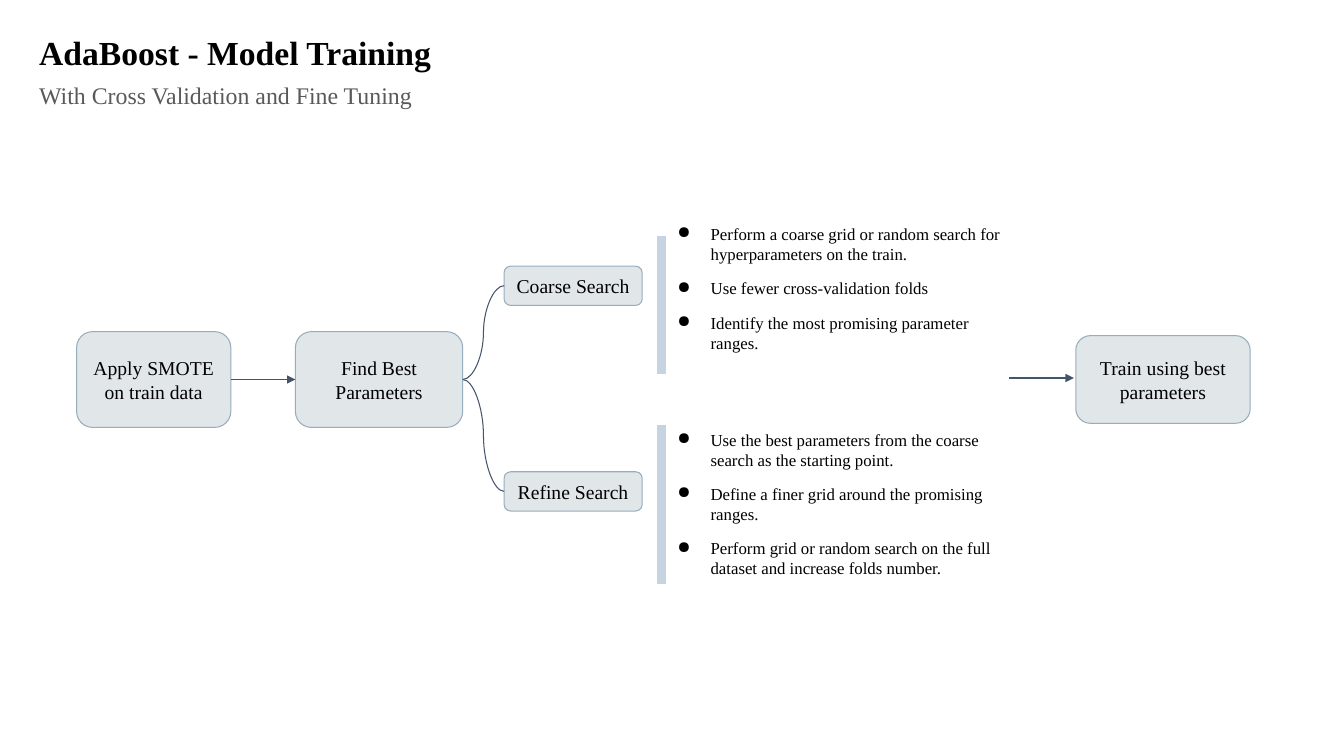
from lxml import etree
from pptx import Presentation
from pptx.dml.color import RGBColor
from pptx.enum.shapes import MSO_CONNECTOR, MSO_SHAPE
from pptx.enum.text import MSO_ANCHOR, PP_ALIGN
from pptx.oxml.ns import qn
from pptx.util import Inches, Pt

STRAIGHT, CURVE = MSO_CONNECTOR.STRAIGHT, MSO_CONNECTOR.CURVE
ROUNDED = MSO_SHAPE.ROUNDED_RECTANGLE
TOP, MIDDLE = MSO_ANCHOR.TOP, MSO_ANCHOR.MIDDLE
LEFT, CENTER = PP_ALIGN.LEFT, PP_ALIGN.CENTER

# Content: boxes are left, top, width, height in inches
HEADINGS = [
    ("AdaBoost - Model Training", (0.29, 0.27, 9.78, 0.5), "title", "ink", True),
    ("With Cross Validation and Fine Tuning", (0.29, 0.75, 13.01, 0.39), "subtitle", "muted", False),
]
STEPS = {
    "smote": ("Apply SMOTE on train data", (0.76, 3.29, 1.53, 0.95)),
    "find": ("Find Best Parameters", (2.93, 3.29, 1.66, 0.95)),
    "train": ("Train using best parameters", (10.67, 3.33, 1.73, 0.87)),
}
SEARCHES = [
    {
        "name": "Coarse Search",
        "top": 2.64,
        "bar": (2.34, 3.71),
        "details_box": (6.45, 2.12, 3.68, 1.43),
        "details": [
            "Perform a coarse grid or random search for hyperparameters on the train.",
            "Use fewer cross-validation folds",
            "Identify the most promising parameter ranges.",
        ],
    },
    {
        "name": "Refine Search",
        "top": 4.68,
        "bar": (4.22, 5.79),
        "details_box": (6.45, 4.16, 3.57, 1.43),
        "details": [
            "Use the best parameters from the coarse search as the starting point.",
            "Define a finer grid around the promising ranges.",
            "Perform grid or random search on the full dataset and increase folds number.",
        ],
    },
]
SEARCH_LEFT, SEARCH_WIDTH, SEARCH_HEIGHT = 5, 1.37, 0.39
BAR_X = 6.56
ARROW_LENGTH = 0.64
TRAIN_ARROW_START = (10.01, 3.75)

THEME = {
    "font": "Times New Roman",
    "colors": {"ink": "000000", "muted": "595959", "box": "E1E6E9",
               "edge": "97ADBD", "arrow": "44546A", "bar": "C6D4E2"},
    "sizes": {"title": 24, "subtitle": 17, "step": 14, "detail": 12},
    "thin": 0.75,
    "thick": 6,
}


def color(name):
    return RGBColor.from_string(THEME["colors"][name])


def add_bullet(paragraph):
    properties = paragraph._p.get_or_add_pPr()
    properties.set("marL", str(Inches(0.5)))
    properties.set("indent", str(Inches(-0.33)))
    bullet_color = etree.SubElement(properties, qn("a:buClr"))
    etree.SubElement(bullet_color, qn("a:srgbClr"), val=THEME["colors"]["ink"])
    etree.SubElement(properties, qn("a:buChar"), char="●")


def write(shape, lines, size, ink="ink", bold=False, align=LEFT, anchor=TOP,
          inset=0.1, bullets=False, gap=0):
    frame = shape.text_frame
    frame.word_wrap = True
    frame.vertical_anchor = anchor
    frame.margin_left = frame.margin_right = Inches(0.1)
    frame.margin_top = frame.margin_bottom = Inches(inset)
    for index, line in enumerate(lines):
        paragraph = frame.paragraphs[0] if index == 0 else frame.add_paragraph()
        if bullets:
            add_bullet(paragraph)
        paragraph.alignment = align
        if index:
            paragraph.space_before = Pt(gap)
        run = paragraph.add_run()
        run.text = line
        run.font.name = THEME["font"]
        run.font.size = Pt(THEME["sizes"][size])
        run.font.bold = bold
        run.font.color.rgb = color(ink)


def add_text(slide, box, lines, size, **text_format):
    write(slide.shapes.add_textbox(*map(Inches, box)), lines, size, **text_format)


def add_step(slide, label, box):
    step = slide.shapes.add_shape(ROUNDED, *map(Inches, box))
    step.shadow.inherit = False
    step.fill.solid()
    step.fill.fore_color.rgb = color("box")
    step.line.color.rgb = color("edge")
    step.line.width = Pt(THEME["thin"])
    write(step, [label], "step", align=CENTER, anchor=MIDDLE)


def add_line(slide, start, end, kind=STRAIGHT, ink="arrow", weight="thin", arrow=False):
    line = slide.shapes.add_connector(kind, *map(Inches, start + end))
    line.line.color.rgb = color(ink)
    line.line.width = Pt(THEME[weight])
    if arrow:
        etree.SubElement(line.line._get_or_add_ln(), qn("a:tailEnd"), type="triangle")
    etree.SubElement(line._element.spPr, qn("a:effectLst"))


def right_middle(box):
    left, top, width, height = box
    return left + width, top + height / 2


def main():
    deck = Presentation()
    deck.slide_width, deck.slide_height = Inches(13.33), Inches(7.5)
    slide = deck.slides.add_slide(deck.slide_layouts[6])

    # Headings
    for heading, box, size, ink, bold in HEADINGS:
        add_text(slide, box, [heading], size, ink=ink, bold=bold, inset=0.05)

    # Main steps
    for label, box in STEPS.values():
        add_step(slide, label, box)

    # Search branches with their details
    branch_start = right_middle(STEPS["find"][1])
    for search in SEARCHES:
        add_step(slide, search["name"],
                 (SEARCH_LEFT, search["top"], SEARCH_WIDTH, SEARCH_HEIGHT))
        branch_end = (SEARCH_LEFT, search["top"] + SEARCH_HEIGHT / 2)
        add_line(slide, branch_start, branch_end, kind=CURVE)
        bar_top, bar_bottom = search["bar"]
        add_line(slide, (BAR_X, bar_top), (BAR_X, bar_bottom), ink="bar", weight="thick")
        add_text(slide, search["details_box"], search["details"], "detail",
                 bullets=True, gap=10)

    # Arrows between the main steps
    for x, y in (right_middle(STEPS["smote"][1]), TRAIN_ARROW_START):
        add_line(slide, (x, y), (x + ARROW_LENGTH, y), arrow=True)

    deck.save("out.pptx")


if __name__ == "__main__":
    main()
